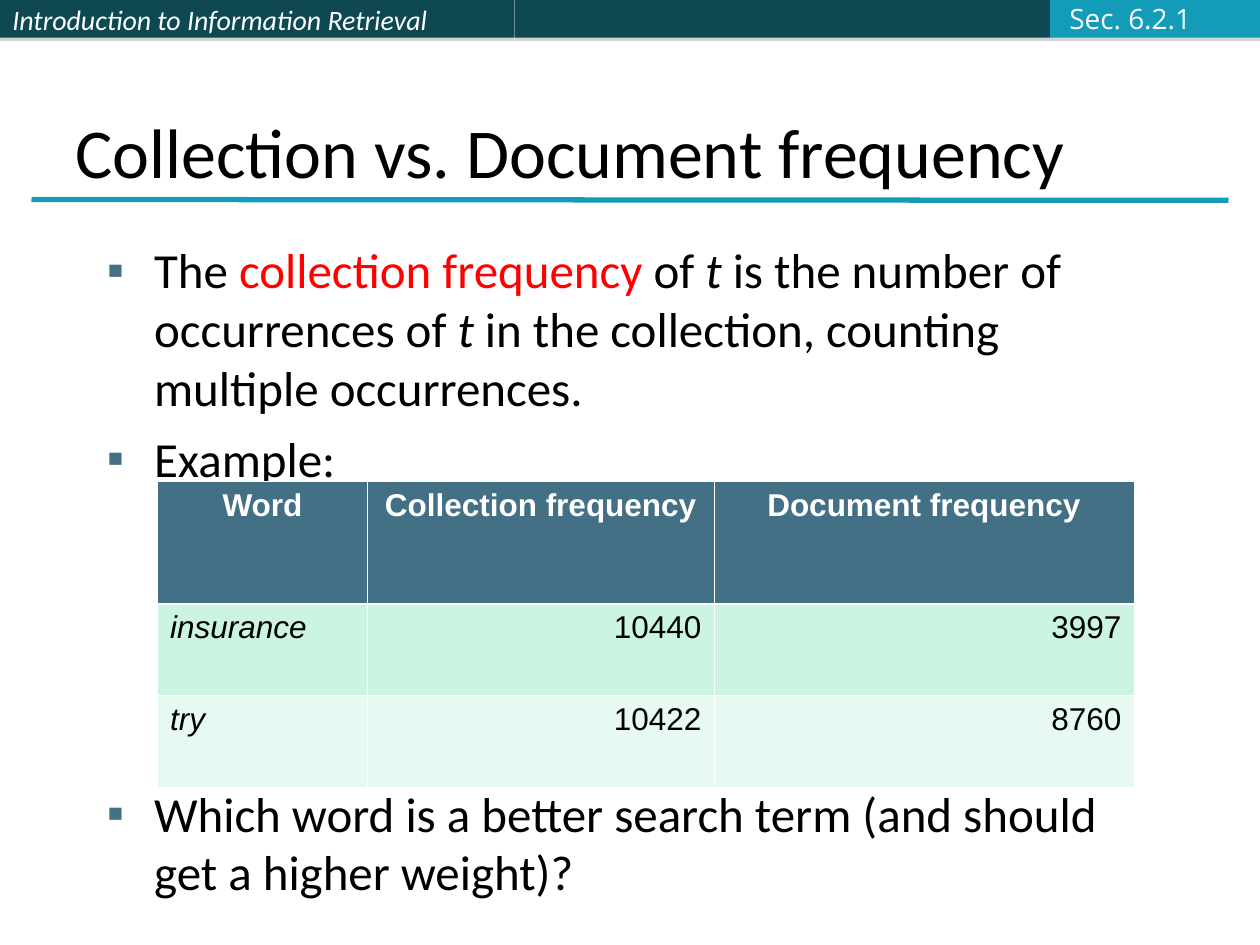
from lxml import etree
from pptx import Presentation
from pptx.dml.color import RGBColor
from pptx.enum import shapes, text
from pptx.oxml import ns
from pptx.util import Pt

COLORS = {
    "band": "0E4851", "accent": "139CB7", "shadow": "808080",
    "header": "437085", "row_dark": "CBF5E1", "row_light": "E7FAF1",
    "white": "FFFFFF", "section": "FBFCFF", "black": "000000", "red": "FF0000",
}
LEFT, CENTER, RIGHT = text.PP_ALIGN.LEFT, text.PP_ALIGN.CENTER, text.PP_ALIGN.RIGHT
TOP, MIDDLE, BOTTOM = text.MSO_ANCHOR.TOP, text.MSO_ANCHOR.MIDDLE, text.MSO_ANCHOR.BOTTOM


def rgb(color):
    return RGBColor.from_string(COLORS[color])


def add_xml(parent, xml):
    parent.append(etree.fromstring(xml.replace(">", f' {ns.nsdecls("a")}>', 1)))


def add_run(paragraph, words, size, font, color="black", bold=False, italic=False):
    run = paragraph.add_run()
    run.text = words
    run.font.size = Pt(size)
    run.font.name = font
    run.font.color.rgb = rgb(color)
    run.font.bold = bold
    run.font.italic = italic


def set_frame(frame, anchor, wrap=True):
    frame.word_wrap = wrap
    frame.vertical_anchor = anchor
    frame.margin_left = frame.margin_right = Pt(7.2)
    frame.margin_top = frame.margin_bottom = Pt(3.6)


def add_text_box(slide, left, top, width, height, anchor, wrap=True):
    box = slide.shapes.add_textbox(Pt(left), Pt(top), Pt(width), Pt(height))
    set_frame(box.text_frame, anchor, wrap)
    return box.text_frame


def add_band(slide, left, width, color):
    band = slide.shapes.add_shape(
        shapes.MSO_SHAPE.RECTANGLE, Pt(left), Pt(0), Pt(width), Pt(21.6))
    band.fill.solid()
    band.fill.fore_color.rgb = rgb(color)
    band.line.fill.background()
    add_xml(band._element.spPr, (
        '<a:effectLst><a:outerShdw blurRad="0" dist="22860" dir="5400000" rotWithShape="0">'
        f'<a:srgbClr val="{COLORS["shadow"]}"><a:alpha val="35000"/></a:srgbClr>'
        '</a:outerShdw></a:effectLst>'))
    set_frame(band.text_frame, MIDDLE)
    band.text_frame.paragraphs[0].alignment = LEFT
    return band.text_frame


def add_rule(slide):
    rule = slide.shapes.add_connector(
        shapes.MSO_CONNECTOR.STRAIGHT, Pt(18), Pt(114), Pt(702), Pt(114.5))
    rule.line.color.rgb = rgb("accent")
    rule.line.width = Pt(3)
    add_xml(rule._element.spPr, "<a:effectLst></a:effectLst>")


def add_bullet(paragraph, runs, space_before):
    """Each run is (words, color, italic)."""
    props = paragraph._p.get_or_add_pPr()
    props.set("marL", str(Pt(27)))
    props.set("indent", str(-Pt(27)))
    add_xml(props, f'<a:buClr><a:srgbClr val="{COLORS["header"]}"/></a:buClr>')
    add_xml(props, '<a:buFont typeface="Arial"></a:buFont>')
    add_xml(props, '<a:buChar char="▪"></a:buChar>')
    paragraph.space_before = Pt(space_before)
    for words, color, italic in runs:
        add_run(paragraph, words, 28, "Calibri", color, italic=italic)


def set_borders(cell, top, bottom):
    props = cell._tc.get_or_add_tcPr()
    widths = {"lnL": 0.45, "lnR": 0.45, "lnT": top, "lnB": bottom}
    for index, (side, width) in enumerate(widths.items()):
        add_xml(props, (
            f'<a:{side} w="{Pt(width)}"><a:solidFill>'
            f'<a:srgbClr val="{COLORS["white"]}"/></a:solidFill></a:{side}>'))
        props.insert(index, props[-1])


def add_frequency_table(slide):
    rows = [("Word", "Collection frequency", "Document frequency"),
            ("insurance", "10440", "3997"),
            ("try", "10422", "8760")]
    fills = ("header", "row_dark", "row_light")
    widths, heights = (120, 198, 240), (70, 52.4, 52.4)
    edges = (0.45, 1.47, 0.45, 0.45)  # top of each row, then the bottom edge
    table = slide.shapes.add_table(
        len(rows), len(widths), Pt(90), Pt(275.2), Pt(sum(widths)), Pt(sum(heights))).table
    for column, width in zip(table.columns, widths):
        column.width = Pt(width)
    for r, values in enumerate(rows):
        table.rows[r].height = Pt(heights[r])
        for c, value in enumerate(values):
            cell = table.cell(r, c)
            cell.fill.solid()
            cell.fill.fore_color.rgb = rgb(fills[r])
            set_borders(cell, edges[r], edges[r + 1])
            paragraph = cell.text_frame.paragraphs[0]
            heading = r == 0
            paragraph.alignment = CENTER if heading else RIGHT if c else LEFT
            add_run(paragraph, value, 18, "Arial", "white" if heading else "black",
                    bold=heading, italic=not heading and c == 0)


def main():
    prs = Presentation()
    prs.slide_width, prs.slide_height = Pt(720), Pt(540)
    slide = prs.slides.add_slide(prs.slide_layouts[6])

    # Top band with course name
    course = add_band(slide, 0, 294, "band")
    add_run(course.paragraphs[0], "Introduction to Information Retrieval",
            16, "Calibri", "white", italic=True)
    add_band(slide, 294, 306, "band")
    add_band(slide, 600, 120, "accent")

    # Title and rule
    add_rule(slide)
    title = add_text_box(slide, 36, 21.6, 648, 90, BOTTOM)
    title.margin_bottom = Pt(1.6)
    add_run(title.paragraphs[0], "Collection vs. Document frequency", 40, "Calibri")

    # Bullets; the last one leaves room for the table
    body = add_text_box(slide, 54, 132, 612, 384, TOP)
    body.margin_top = Pt(5)
    definition = [
        ("The ", "black", False), ("collection frequency ", "red", False),
        ("of ", "black", False), ("t", "black", True),
        (" is the number of occurrences of ", "black", False), ("t", "black", True),
        (" in the collection, counting multiple occurrences.", "black", False)]
    question = "Which word is a better search term (and should get a higher weight)?"
    add_bullet(body.paragraphs[0], definition, 0)
    add_bullet(body.add_paragraph(), [("Example:", "black", False)], 7)
    add_bullet(body.add_paragraph(), [(question, "black", False)], 169)

    add_frequency_table(slide)

    # Section label
    section = add_text_box(slide, 604, -2.9, 84, 26.6, MIDDLE, wrap=False)
    add_run(section.paragraphs[0], "Sec. 6.2.1", 16, "Open Sans", "section")

    prs.save("out.pptx")


if __name__ == "__main__":
    main()
